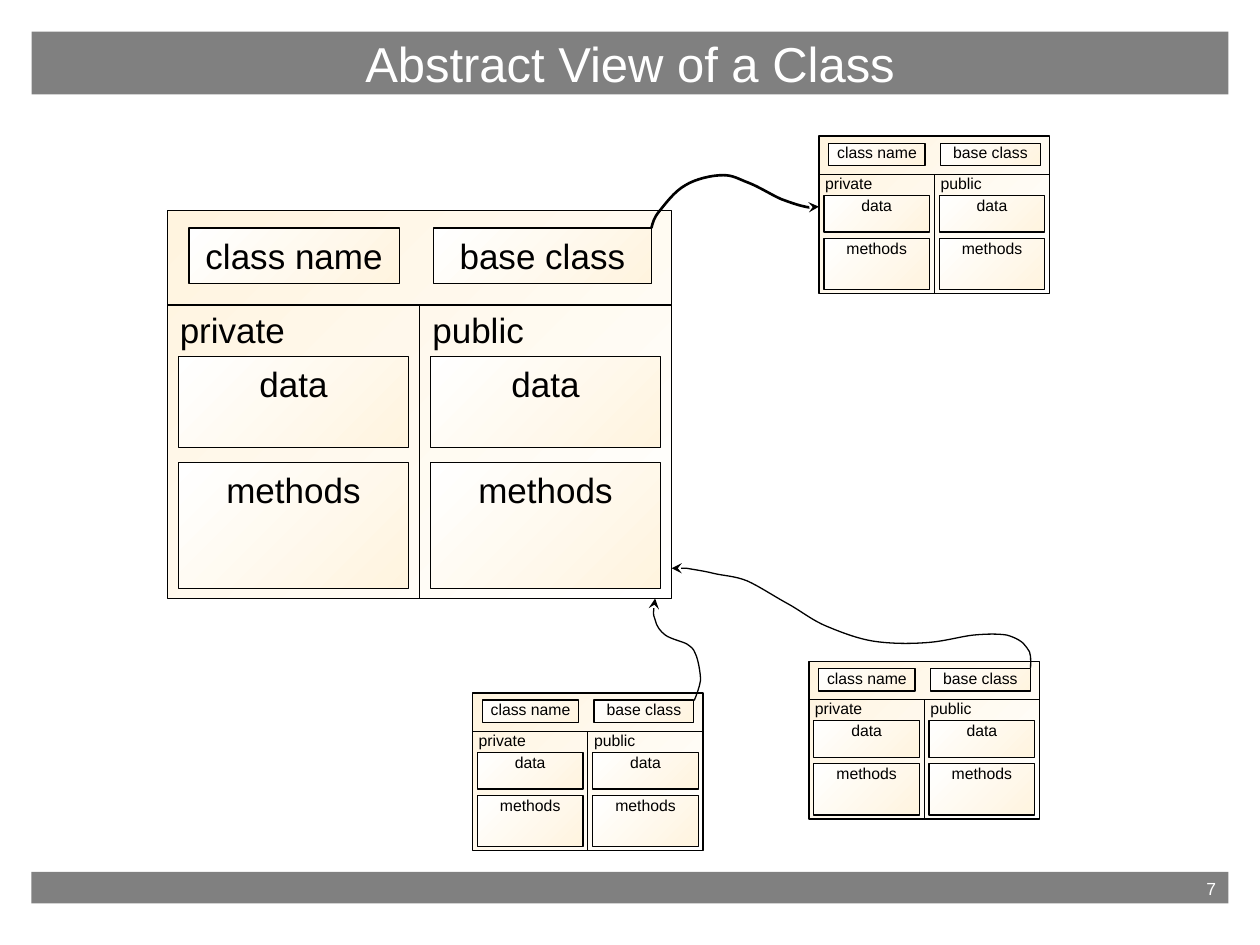
import pptx
import pptx.dml.color
import pptx.enum.dml
import pptx.enum.shapes
import pptx.enum.text
import pptx.oxml
import pptx.oxml.ns
import pptx.util
from pptx.util import Inches

ALIGN = pptx.enum.text.PP_ALIGN
ANCHOR = pptx.enum.text.MSO_ANCHOR
RECTANGLE = pptx.enum.shapes.MSO_SHAPE.RECTANGLE
FONT = "Arial"
GREY, WHITE, CREAM, BLACK = "808080", "FFFFFF", "FFF4DF", "000000"

# Class diagram at full size; smaller ones are scaled from it
FULL_WIDTH, FULL_HEIGHT = 4, 3.08
HEADER_HEIGHT = 0.75
HEADER_BOXES = [("class name", 0.17, 0.14, 1.67, 0.44),
                ("base class", 2.11, 0.14, 1.73, 0.44)]
SECTION_LABELS = [("private", 1.03), ("public", 0.93)]
SECTION_BOXES = [("data", 1.16, 0.72), ("methods", 2, 1)]

SMALL_SIZE = (1.83, 1.25)
SMALL_PLACES = [(6.5, 1.08), (3.75, 5.5), (6.42, 5.25)]

# Start point, then two control points and an end point for each curve
BASE_LINKS = [
    (1.5, [(5.17, 1.81),
           (5.18, 1.77), (5.19, 1.73), (5.23, 1.68),
           (5.28, 1.62), (5.35, 1.52), (5.44, 1.47),
           (5.52, 1.42), (5.65, 1.39), (5.74, 1.39),
           (5.82, 1.39), (5.86, 1.42), (5.94, 1.45),
           (6.02, 1.48), (6.13, 1.55), (6.2, 1.58),
           (6.28, 1.61), (6.34, 1.63), (6.39, 1.64),
           (6.44, 1.65), (6.47, 1.65), (6.5, 1.64)]),
    (0.75, [(5.51, 5.56),
            (5.53, 5.51), (5.55, 5.46), (5.56, 5.4),
            (5.56, 5.34), (5.54, 5.23), (5.52, 5.19),
            (5.5, 5.14), (5.49, 5.14), (5.45, 5.11),
            (5.41, 5.09), (5.32, 5.07), (5.28, 5.04),
            (5.24, 5.01), (5.21, 4.97), (5.2, 4.92),
            (5.18, 4.87), (5.19, 4.81), (5.2, 4.75)]),
    (0.75, [(8.18, 5.3),
            (8.18, 5.24), (8.19, 5.18), (8.15, 5.14),
            (8.12, 5.09), (8.06, 5.06), (7.99, 5.04),
            (7.92, 5.03), (7.84, 5.03), (7.73, 5.04),
            (7.63, 5.05), (7.5, 5.09), (7.36, 5.1),
            (7.23, 5.11), (7.08, 5.11), (6.94, 5.09),
            (6.81, 5.07), (6.68, 5.02), (6.56, 4.97),
            (6.44, 4.92), (6.36, 4.85), (6.25, 4.79),
            (6.14, 4.73), (6.02, 4.65), (5.93, 4.61),
            (5.83, 4.57), (5.74, 4.57), (5.66, 4.55),
            (5.58, 4.53), (5.5, 4.52), (5.45, 4.51),
            (5.39, 4.51), (5.36, 4.51), (5.33, 4.51)]),
]


def color(hex_string):
    return pptx.dml.color.RGBColor.from_string(hex_string)


def set_line(line, width=0.75):
    line.color.rgb = color(BLACK)
    line.width = pptx.util.Pt(width)


def set_text(shape, text, size, hex_string, align, anchor=ANCHOR.TOP,
             insets=(0.1, 0.05), wrap=True):
    frame = shape.text_frame
    frame.auto_size = pptx.enum.text.MSO_AUTO_SIZE.NONE
    frame.word_wrap = wrap
    frame.vertical_anchor = anchor
    frame.margin_left = frame.margin_right = Inches(insets[0])
    frame.margin_top = frame.margin_bottom = Inches(insets[1])
    para = frame.paragraphs[0]
    para.text = text
    para.alignment = align
    para.font.name = FONT
    para.font.size = pptx.util.Pt(size)
    para.font.color.rgb = color(hex_string)
    return para


def fill_grey(shape):
    shape.fill.solid()
    shape.fill.fore_color.rgb = color(GREY)
    shape.line.fill.background()


def add_gradient_box(shapes, area, first, last):
    box = shapes.add_shape(RECTANGLE, *map(Inches, area))
    box.shadow.inherit = False
    box.fill.gradient()
    box.fill.gradient_angle = 135
    for stop, hex_string in zip(box.fill.gradient_stops, (first, last)):
        stop.color.rgb = color(hex_string)
    set_line(box.line)
    return box


def add_divider(shapes, start, end):
    divider = shapes.add_connector(pptx.enum.shapes.MSO_CONNECTOR.STRAIGHT,
                                   *map(Inches, start + end))
    set_line(divider.line)
    properties = divider._element.spPr
    properties.append(pptx.oxml.parse_xml(
        f'<a:effectLst {pptx.oxml.ns.nsdecls("a")}/>'))
    return divider


def add_class_diagram(slide, place, size, font_size, insets):
    shapes = slide.shapes.add_group_shape().shapes
    (left, top), (width, height) = place, size
    x_scale, y_scale = width / FULL_WIDTH, height / FULL_HEIGHT

    def area(x, y, w, h):
        return (left + x * x_scale, top + y * y_scale, w * x_scale, h * y_scale)

    def label(shape, text):
        para = set_text(shape, text, font_size, BLACK, ALIGN.CENTER,
                        insets=insets, wrap=text == "data")
        para.space_before = pptx.util.Pt(round(font_size * 0.625, 1))

    frame = add_gradient_box(shapes, (left, top, width, height), WHITE, CREAM)

    # Header with the two names
    for text, *box_area in HEADER_BOXES:
        label(add_gradient_box(shapes, area(*box_area), CREAM, WHITE), text)
    header_bottom = top + HEADER_HEIGHT * y_scale
    middle = left + width / 2
    add_divider(shapes, (left, header_bottom), (left + width, header_bottom))
    divider = add_divider(shapes, (middle, header_bottom), (middle, top + height))
    divider.end_connect(frame, 2)

    # Private and public halves
    for column, (section, label_width) in enumerate(SECTION_LABELS):
        x = column * FULL_WIDTH / 2
        label_area = area(x, 0.73, label_width, 0.43)
        label(shapes.add_textbox(*map(Inches, label_area)), section)
        for text, y, box_height in SECTION_BOXES:
            box_area = area(x + 0.085, y, 1.83, box_height)
            label(add_gradient_box(shapes, box_area, CREAM, WHITE), text)


def add_curved_arrow(slide, width, points):
    start, *rest = [(Inches(x), Inches(y)) for x, y in points]
    builder = slide.shapes.build_freeform(*start)
    builder.add_line_segments(rest, close=False)
    arrow = builder.convert_to_shape()
    arrow.shadow.inherit = False
    arrow.fill.background()
    set_line(arrow.line, width)

    # Each three segments become one Bezier curve
    name = pptx.oxml.ns.qn
    segments = list(arrow._element.iter(name("a:lnTo")))
    for index in range(0, len(segments), 3):
        curve = pptx.oxml.parse_xml(
            f'<a:cubicBezTo {pptx.oxml.ns.nsdecls("a")}/>')
        segments[index].addprevious(curve)
        for segment in segments[index:index + 3]:
            curve.append(segment[0])
            segment.getparent().remove(segment)

    arrow.line._get_or_add_ln().append(pptx.oxml.parse_xml(
        f'<a:tailEnd {pptx.oxml.ns.nsdecls("a")} type="stealth"/>'))


def add_title(slide, text):
    title = slide.shapes.title
    title.left, title.top, title.width, title.height = map(
        Inches, (0.25, 0.25, 9.5, 0.5))
    fill_grey(title)
    set_text(title, text, 28, WHITE, ALIGN.CENTER, ANCHOR.MIDDLE)


def add_footer(slide, number):
    bar = slide.shapes.add_shape(RECTANGLE, *map(Inches, (0.25, 6.92, 9.5, 0.25)))
    bar.shadow.inherit = False
    fill_grey(bar)
    set_text(bar, number, 10, WHITE, ALIGN.RIGHT)


def main():
    deck = pptx.Presentation()
    deck.slide_width, deck.slide_height = Inches(10), Inches(7.5)
    slide = deck.slides.add_slide(deck.slide_layouts[5])
    add_footer(slide, "7")
    add_title(slide, "Abstract View of a Class")
    for place in SMALL_PLACES:
        add_class_diagram(slide, place, SMALL_SIZE, 9, (0, 0))
    add_class_diagram(slide, (1.33, 1.67), (FULL_WIDTH, FULL_HEIGHT), 20, (0.1, 0.05))
    for width, points in BASE_LINKS:
        add_curved_arrow(slide, width, points)
    deck.save("out.pptx")


if __name__ == "__main__":
    main()
